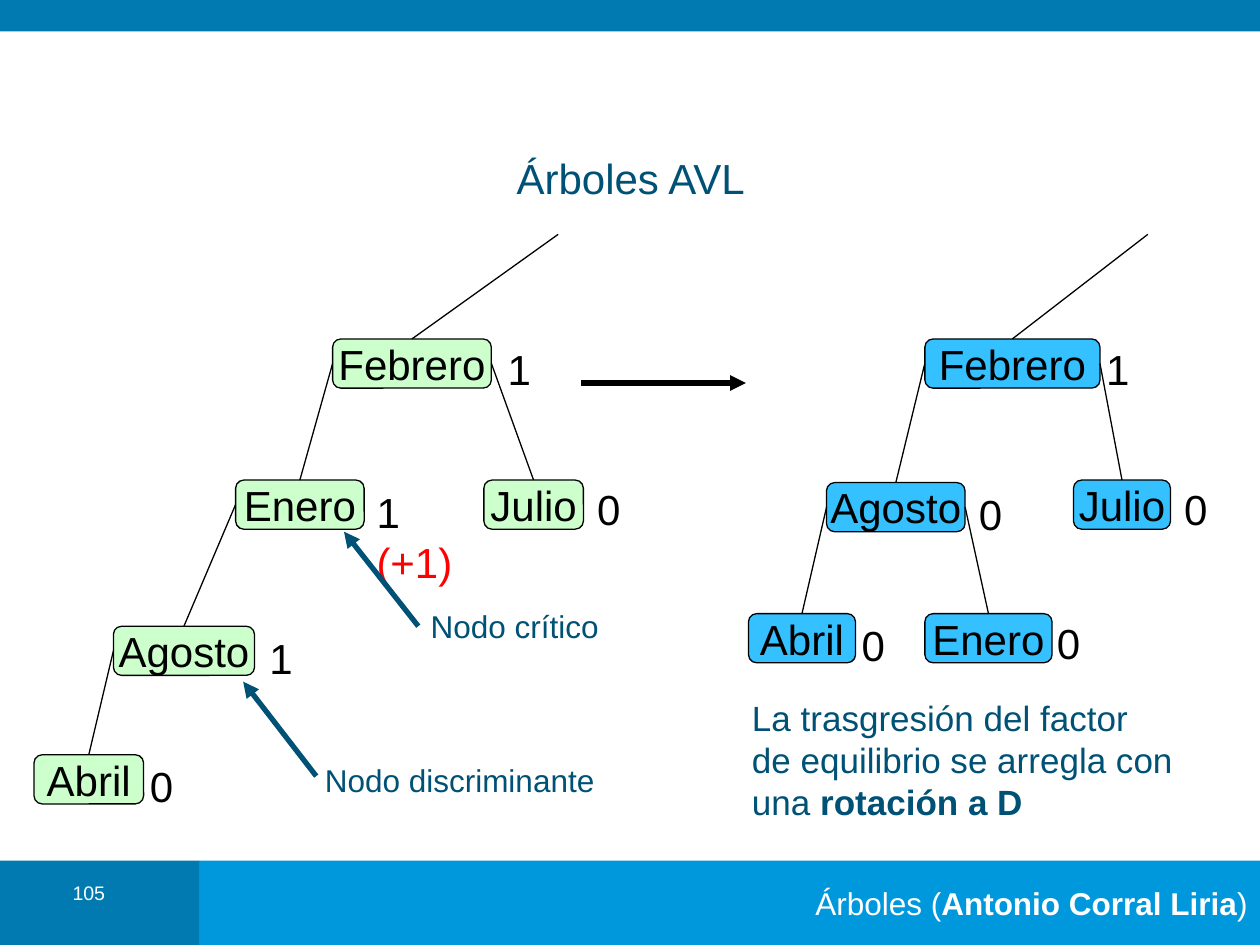
"""Builds the AVL tree slide showing a single right rotation."""
from dataclasses import dataclass

from lxml import etree
from pptx import Presentation
from pptx.dml.color import RGBColor
from pptx.enum.shapes import MSO_CONNECTOR, MSO_SHAPE
from pptx.enum.text import MSO_ANCHOR, MSO_AUTO_SIZE, PP_ALIGN
from pptx.oxml.ns import qn
from pptx.util import Inches, Pt

RECTANGLE, ROUNDED = MSO_SHAPE.RECTANGLE, MSO_SHAPE.ROUNDED_RECTANGLE
STRAIGHT = MSO_CONNECTOR.STRAIGHT
TOP, MIDDLE = MSO_ANCHOR.TOP, MSO_ANCHOR.MIDDLE
LEFT, CENTER, RIGHT = PP_ALIGN.LEFT, PP_ALIGN.CENTER, PP_ALIGN.RIGHT
FIT_SHAPE = MSO_AUTO_SIZE.SHAPE_TO_FIT_TEXT
TOP_SIDE, LEFT_SIDE, RIGHT_SIDE = 0, 1, 3


@dataclass(frozen=True)
class Theme:
    """Colours, type sizes and line widths of the slide."""
    font: str = "Arial"
    dark_band: str = "007AB1"
    light_band: str = "0098DC"
    accent: str = "005176"
    before: str = "CCFFCC"
    after: str = "35C0FF"
    ink: str = "000000"
    alert: str = "FF0000"
    paper: str = "FFFFFF"
    large: float = 24
    body: float = 20
    small: float = 18
    number: float = 11.2
    thin: float = 0.75
    thick: float = 3


class SlideBuilder:
    """Holds the theme and the current slide and draws each kind of element."""

    def __init__(self, slide, theme):
        """Keep the slide and its theme."""
        self.slide = slide
        self.theme = theme

    def fill_text(self, shape, runs, size, color, align=LEFT, anchor=TOP, wrap=True, **spacing):
        """Fill a shape with one paragraph of (text, format) runs."""
        frame = shape.text_frame
        for name, value in {"word_wrap": wrap, "vertical_anchor": anchor}.items():
            setattr(frame, name, value)
        paragraph = frame.paragraphs[0]
        for name, value in {"alignment": align, **spacing}.items():
            setattr(paragraph, name, value)
        for text, changes in runs:
            run = paragraph.add_run()
            run.text = text
            values = {"name": self.theme.font, "size": Pt(size), "bold": changes.get("bold", False)}
            for name, value in values.items():
                setattr(run.font, name, value)
            run.font.color.rgb = RGBColor.from_string(changes.get("color", color))

    def title(self, text, left, top, width, height):
        """Place and format the title placeholder."""
        shape = self.slide.shapes.title
        box = {"left": left, "top": top, "width": width, "height": height}
        for name, value in box.items():
            setattr(shape, name, Inches(value))
        for side in ("left", "top", "right", "bottom"):
            setattr(shape.text_frame, f"margin_{side}", 0)
        self.fill_text(shape, [(text, {})], self.theme.large, self.theme.accent, CENTER, MIDDLE)

    def box(self, kind, left, top, width, height, fill):
        """Draw a flat filled shape without an outline."""
        shape = self.slide.shapes.add_shape(kind, *map(Inches, (left, top, width, height)))
        shape.shadow.inherit = False
        shape.fill.solid()
        shape.fill.fore_color.rgb = RGBColor.from_string(fill)
        shape.line.fill.background()
        return shape

    def text(self, runs, left, top, width, height, size, color, grow=True, **formats):
        """Add a text box."""
        shape = self.slide.shapes.add_textbox(*map(Inches, (left, top, width, height)))
        if grow:
            shape.text_frame.auto_size = FIT_SHAPE
        self.fill_text(shape, runs, size, color, **formats)

    def line(self, start, end, color, width, arrow=False):
        """Draw a straight line, with an arrowhead at its end if asked."""
        connector = self.slide.shapes.add_connector(STRAIGHT, *map(Inches, (*start, *end)))
        connector.line.color.rgb = RGBColor.from_string(color)
        connector.line.width = Pt(width)
        if arrow:
            etree.SubElement(connector.get_or_add_ln(), qn("a:tailEnd"), type="triangle")
        etree.SubElement(connector.element.spPr, qn("a:effectLst"))
        return connector

    def node(self, name, left, top, width, fill):
        """Draw one tree node."""
        shape = self.box(ROUNDED, left, top, width, 0.39, fill)
        shape.adjustments[0] = 0.167
        shape.line.color.rgb = RGBColor.from_string(self.theme.ink)
        shape.line.width = Pt(self.theme.thin)
        self.fill_text(shape, [(name, {})], self.theme.large, self.theme.ink, CENTER, MIDDLE, False)
        return shape

    def tree(self, nodes, edges, root_start, fill):
        """Draw nodes with their balance factors and the edges joining them."""
        theme = self.theme
        shapes = {}
        for name, left, top, width, balance, balance_at, balance_width in nodes:
            shapes[name] = self.node(name, left, top, width, fill)
            self.text(balance, *balance_at, balance_width, 0.5, theme.large, theme.ink,
                      wrap=len(balance) > 1)
        root = self.line(root_start, root_start, theme.ink, theme.thin)
        root.end_connect(shapes[nodes[0][0]], TOP_SIDE)
        for parent, side, child in edges:
            edge = self.line(root_start, root_start, theme.ink, theme.thin)
            edge.begin_connect(shapes[parent], side)
            edge.end_connect(shapes[child], TOP_SIDE)


def main():
    """Build and save the slide."""
    theme = Theme()
    presentation = Presentation()
    presentation.slide_width, presentation.slide_height = Inches(10), Inches(7.5)
    builder = SlideBuilder(presentation.slides.add_slide(presentation.slide_layouts[5]), theme)

    footer = builder.box(RECTANGLE, 1.58, 6.83, 8.42, 0.67, theme.light_band)
    footer_runs = [("Árboles (", {}), ("Antonio Corral Liria", {"bold": True}), (")", {})]
    builder.fill_text(footer, footer_runs, theme.small, theme.paper, RIGHT, MIDDLE)
    builder.box(RECTANGLE, 0, 6.83, 1.58, 0.67, theme.dark_band)
    builder.box(RECTANGLE, 0, 0, 10, 0.25, theme.dark_band)
    builder.text([("105", {})], 0.35, 6.98, 0.71, 0.32, theme.number, theme.paper,
                 grow=False, align=CENTER, line_spacing=0.8)
    builder.title("Árboles AVL", 0.83, 1.2, 8.35, 0.42)

    zero, one = [("0", {})], [("1", {})]
    critical = [("1 ", {}), ("(+1)", {"color": theme.alert})]
    nodes_before = [
        ("Febrero", 2.64, 2.69, 1.26, one, (3.93, 2.68), 0.39),
        ("Enero", 1.87, 3.81, 1.02, critical, (2.89, 3.81), 1.06),
        ("Julio", 3.84, 3.81, 0.79, zero, (4.64, 3.79), 0.39),
        ("Agosto", 0.9, 4.97, 1.12, one, (2.04, 4.97), 0.39),
        ("Abril", 0.27, 5.99, 0.87, zero, (1.09, 5.99), 0.39),
    ]
    edges_before = [
        ("Febrero", LEFT_SIDE, "Enero"),
        ("Febrero", RIGHT_SIDE, "Julio"),
        ("Enero", LEFT_SIDE, "Agosto"),
        ("Agosto", LEFT_SIDE, "Abril"),
    ]
    nodes_after = [
        ("Febrero", 7.34, 2.69, 1.39, one, (8.68, 2.68), 0.39),
        ("Agosto", 6.56, 3.83, 1.1, zero, (7.67, 3.83), 0.39),
        ("Julio", 8.52, 3.81, 0.77, zero, (9.3, 3.79), 0.39),
        ("Abril", 5.94, 4.87, 0.85, zero, (6.74, 4.87), 0.39),
        ("Enero", 7.34, 4.87, 1.01, zero, (8.29, 4.85), 0.39),
    ]
    edges_after = [
        ("Febrero", LEFT_SIDE, "Agosto"),
        ("Febrero", RIGHT_SIDE, "Julio"),
        ("Agosto", LEFT_SIDE, "Abril"),
        ("Agosto", RIGHT_SIDE, "Enero"),
    ]
    builder.tree(nodes_before, edges_before, (4.43, 1.86), theme.before)
    builder.tree(nodes_after, edges_after, (9.11, 1.86), theme.after)

    callouts = [
        ("Nodo discriminante", (2.48, 5.99), 2.36, (2.51, 6.16), (1.93, 5.41)),
        ("Nodo crítico", (3.32, 4.77), 1.55, (3.32, 4.97), (2.73, 4.22)),
    ]
    for label, position, width, start, end in callouts:
        builder.text([(label, {})], *position, width, 0.4, theme.small, theme.accent)
        builder.line(start, end, theme.accent, theme.thick, arrow=True)
    builder.line((4.61, 3.04), (5.92, 3.04), theme.ink, theme.thick, arrow=True)

    conclusion = [("La trasgresión del factor de equilibrio se arregla con una ", {}),
                  ("rotación a D", {"bold": True})]
    builder.text(conclusion, 5.87, 5.48, 3.56, 1.1, theme.body, theme.accent)
    presentation.save("out.pptx")


if __name__ == "__main__":
    main()
